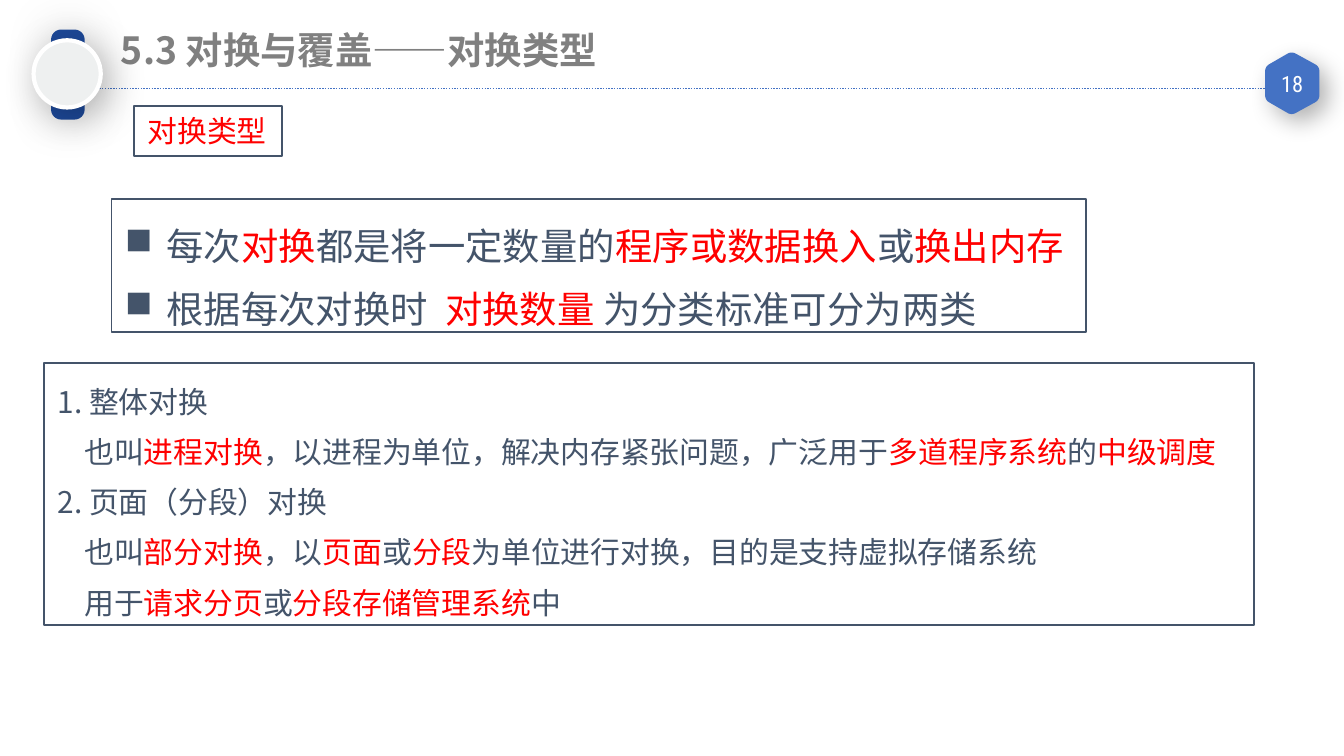
import pptx
import pptx.util
import pptx.oxml.ns
import lxml.etree
from pptx.dml.color import RGBColor
from pptx.enum.dml import MSO_LINE
from pptx.enum.shapes import MSO_CONNECTOR, MSO_SHAPE
from pptx.enum.text import MSO_ANCHOR, MSO_AUTO_SIZE, PP_ALIGN
from pptx.util import Inches, Pt

TITLE = "5.3 对换与覆盖——对换类型"
PAGE_NUMBER = "18"

BOXES = [
    {"at": (0.83, 1.48, 7.25, 0.99), "size": "large", "spacing": 1.4, "bullet": True,
     "lines": [
         (0, "每次|对换|都是将一定数量的|程序或数据换入|或|换出内存"),
         (0, "根据每次对换时 | 对换数量 |为分类标准可分为两类"),
     ]},
    {"at": (0.33, 2.7, 9, 1.95), "size": "body", "spacing": 1.4, "bullet": False,
     "lines": [
         (0, "1. 整体对换"),
         (1, "也叫|进程对换|，以进程为单位，解决内存紧张问题，广泛用于|多道程序系统|的|中级调度"),
         (0, "2. 页面（分段）对换"),
         (1, "也叫|部分对换|，以|页面|或|分段|为单位进行对换，目的是支持虚拟存储系统"),
         (1, "用于|请求分页|或|分段存储管理系统|中"),
     ]},
    {"at": (1, 0.79, 1.1, 0.37), "size": "body", "spacing": 1, "bullet": False,
     "lines": [(0, "|对换类型")]},
]

THEME = {
    "font": "Noto Sans CJK SC", "number_font": "Roboto Condensed",
    "title": "808080", "text": "44546A", "accent": "FF0000", "blue": "4472C4",
    "strap": "1D4999", "face": "EEF0F0", "white": "FFFFFF", "shadow": "000000",
    "large": 20, "body": 16, "number": 12,
}
LEVEL_INDENT = 0.2
BULLET_INDENT = 0.31


def color(name):
    return RGBColor.from_string(THEME[name])


def place(shape, box):
    shape.left, shape.top, shape.width, shape.height = map(Inches, box)


def add_element(parent, tag, **attributes):
    element = lxml.etree.SubElement(parent, pptx.oxml.ns.qn(tag))
    for name, value in attributes.items():
        element.set(name, str(value))
    return element


def style_shape(shape, fill=None, line=None, width=1):
    shape.shadow.inherit = False
    if fill:
        shape.fill.solid()
        shape.fill.fore_color.rgb = color(fill)
    else:
        shape.fill.background()
    if line:
        shape.line.color.rgb = color(line)
        shape.line.width = Pt(width)
    else:
        shape.line.fill.background()


def add_shadow(shape, opacity, blur, distance, angle):
    effects = shape._element.spPr.find(pptx.oxml.ns.qn("a:effectLst"))
    shadow = add_element(effects, "a:outerShdw", blurRad=Pt(blur), dist=Pt(distance),
                         dir=angle * 60000, algn="ctr", rotWithShape=0)
    tint = add_element(shadow, "a:srgbClr", val=THEME["shadow"])
    add_element(tint, "a:alpha", val=opacity * 1000)


def style_run(run, size, color_name, font="font", bold=False):
    run.font.size = Pt(THEME[size])
    run.font.bold = bold
    run.font.name = THEME[font]
    run.font.color.rgb = color(color_name)
    add_element(run._r.get_or_add_rPr(), "a:ea", typeface=THEME[font])


def set_frame(frame, side=0.1, edge=0.05, anchor=MSO_ANCHOR.TOP):
    frame.word_wrap = True
    frame.auto_size = MSO_AUTO_SIZE.NONE
    frame.vertical_anchor = anchor
    frame.margin_left = frame.margin_right = Inches(side)
    frame.margin_top = frame.margin_bottom = Inches(edge)


def indent(paragraph, left, bullet):
    properties = paragraph._p.get_or_add_pPr()
    properties.set("marL", str(Inches(left)))
    properties.set("indent", str(Inches(-left if bullet else 0)))
    if bullet:
        add_element(properties, "a:buFont", typeface="Wingdings")
        add_element(properties, "a:buChar", char="n")


def add_box(slide, box):
    shape = slide.shapes.add_shape(MSO_SHAPE.RECTANGLE, *map(Inches, box["at"]))
    style_shape(shape, line="text")
    frame = shape.text_frame
    set_frame(frame)
    for index, (level, line) in enumerate(box["lines"]):
        paragraph = frame.add_paragraph() if index else frame.paragraphs[0]
        indent(paragraph, BULLET_INDENT if box["bullet"] else level * LEVEL_INDENT, box["bullet"])
        paragraph.alignment = PP_ALIGN.LEFT
        paragraph.line_spacing = float(box["spacing"])
        for position, part in enumerate(line.split("|")):
            if part:
                run = paragraph.add_run()
                run.text = part
                style_run(run, box["size"], "accent" if position % 2 else "text")


def rounded_points(corners, cut=0.14, steps=6):
    points = []
    for index, corner in enumerate(corners):
        neighbours = corners[index - 1], corners[(index + 1) % len(corners)]
        start, end = [[c + (n - c) * cut for c, n in zip(corner, other)] for other in neighbours]
        for step in range(steps + 1):
            t = step / steps
            points.append(tuple(Inches((1 - t) ** 2 * a + 2 * t * (1 - t) * c + t * t * b)
                                for a, c, b in zip(start, corner, end)))
    return points


def add_header(slide):
    rule = slide.shapes.add_connector(MSO_CONNECTOR.STRAIGHT, *map(Inches, (0.33, 0.66, 9.43, 0.66)))
    rule.line.color.rgb = color("blue")
    rule.line.width = Pt(0.75)
    rule.line.dash_style = MSO_LINE.ROUND_DOT
    add_element(rule._element.spPr, "a:effectLst")

    left, middle, right = 9.42, 9.61, 9.81
    corners = [(left, 0.5), (middle, 0.39), (right, 0.5), (right, 0.74), (middle, 0.85), (left, 0.74)]
    points = rounded_points(corners)
    builder = slide.shapes.build_freeform(*points[0])
    builder.add_line_segments(points[1:], close=True)
    badge = builder.convert_to_shape()
    style_shape(badge, "blue", "blue")
    add_shadow(badge, 30, 13, 6, 45)

    number = slide.shapes.add_textbox(*map(Inches, (9.42, 0.5, 0.39, 0.25)))
    set_frame(number.text_frame, 0.07, 0.04, MSO_ANCHOR.MIDDLE)
    number.text_frame.text = PAGE_NUMBER
    paragraph = number.text_frame.paragraphs[0]
    paragraph.alignment = PP_ALIGN.CENTER
    style_run(paragraph.runs[0], "number", "white", "number_font")

    strap = slide.shapes.add_shape(MSO_SHAPE.ROUNDED_RECTANGLE, *map(Inches, (0.38, 0.22, 0.25, 0.67)))
    strap.adjustments[0] = 0.3
    style_shape(strap, "strap")
    add_shadow(strap, 17, 27, 0, 0)
    face = slide.shapes.add_shape(MSO_SHAPE.OVAL, *map(Inches, (0.25, 0.3, 0.5, 0.5)))
    style_shape(face, "face", "white", 2.25)
    add_shadow(face, 28, 22, 6, 45)


def add_title(slide):
    title = slide.shapes.title
    place(title, (0.83, 0.16, 4.17, 0.41))
    set_frame(title.text_frame, 0.07, 0.04)
    title.text_frame.text = TITLE
    paragraph = title.text_frame.paragraphs[0]
    paragraph.alignment = PP_ALIGN.LEFT
    style_run(paragraph.runs[0], "large", "title", bold=True)


def main():
    presentation = pptx.Presentation()
    presentation.slide_width = Inches(10)
    presentation.slide_height = presentation.slide_width * 9 // 16
    slide = presentation.slides.add_slide(presentation.slide_layouts[5])
    add_header(slide)
    add_title(slide)
    for box in BOXES:
        add_box(slide, box)
    presentation.save("out.pptx")


if __name__ == "__main__":
    main()
